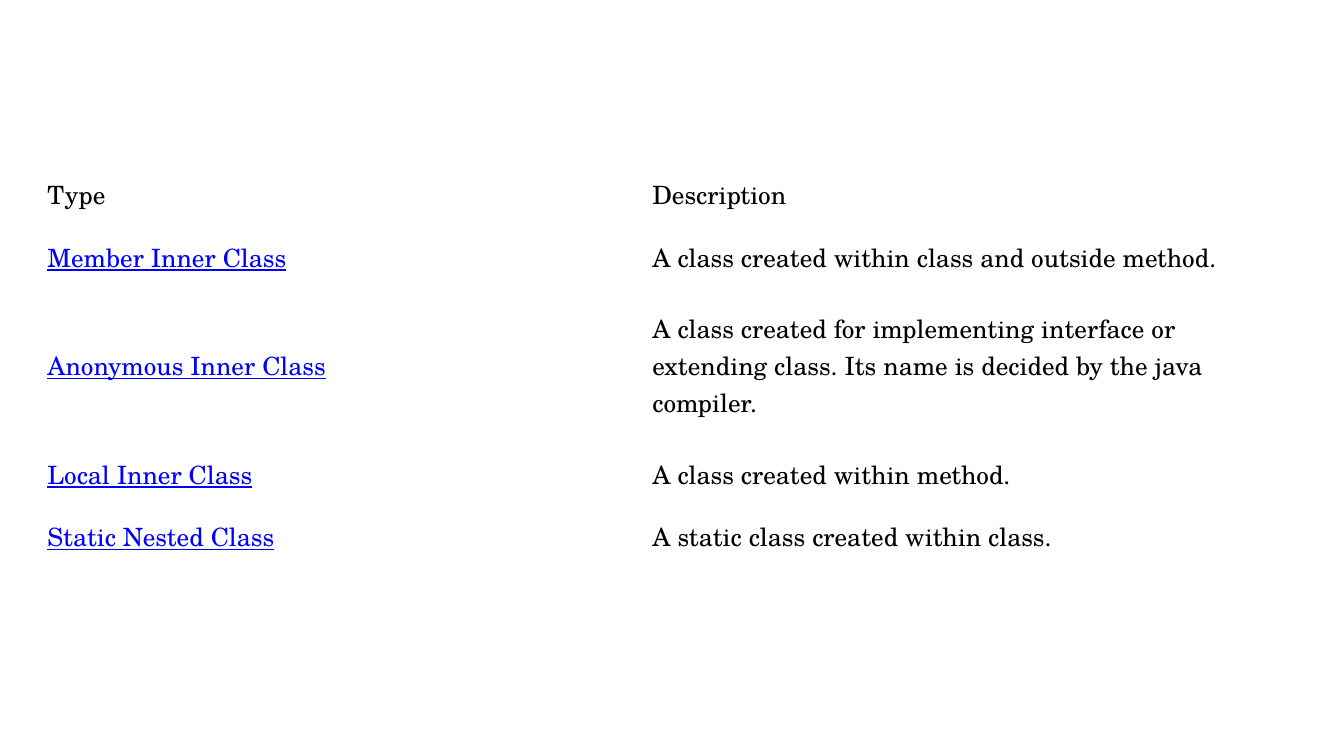
from dataclasses import dataclass

from pptx import Presentation
from pptx.dml.color import RGBColor
from pptx.enum.text import MSO_ANCHOR
from pptx.table import Table, _Cell
from pptx.util import Inches, Pt

BLACK = RGBColor(0x00, 0x00, 0x00)
LINK_BLUE = RGBColor(0x00, 0x00, 0xFF)
BODY_FORMAT = {"name": "TeX Gyre Schola", "size": Pt(18), "bold": False}
PLAIN_TABLE = {"first_row": False, "horz_banding": False}

ROW_HEIGHT = Inches(0.62)
COLUMN_WIDTH = Inches(6)


@dataclass(frozen=True)
class ClassKind:
    title: str
    description: str
    linked: bool = True
    row_share: float = 1


KINDS = [
    ClassKind("Type", "Description", linked=False),
    ClassKind("Member Inner Class", "A class created within class and outside method."),
    ClassKind(
        "Anonymous Inner Class",
        "A class created for implementing interface or extending class. "
        "Its name is decided by the java compiler.",
        row_share=2.48,
    ),
    ClassKind("Local Inner Class", "A class created within method."),
    ClassKind("Static Nested Class", "A static class created within class."),
]


def set_format(target: object, values: dict) -> None:
    for attribute, value in values.items():
        setattr(target, attribute, value)


def write_cell(cell: _Cell, wording: str, linked: bool) -> None:
    cell.fill.background()
    cell.vertical_anchor = MSO_ANCHOR.MIDDLE
    run = cell.text_frame.paragraphs[0].add_run()
    run.text = wording
    set_format(run.font, BODY_FORMAT | {"underline": linked})
    run.font.color.rgb = LINK_BLUE if linked else BLACK


def write_kind(table: Table, row: int, kind: ClassKind) -> None:
    table.rows[row].height = round(ROW_HEIGHT * kind.row_share)
    write_cell(table.cell(row, 0), kind.title, kind.linked)
    write_cell(table.cell(row, 1), kind.description, False)


presentation = Presentation()
set_format(presentation, {"slide_width": Inches(13.33), "slide_height": Inches(7.5)})
slide = presentation.slides.add_slide(presentation.slide_layouts[6])

total_height = round(ROW_HEIGHT * sum(kind.row_share for kind in KINDS))
inner_classes = slide.shapes.add_table(
    len(KINDS), 2, Inches(0.37), Inches(1.62), COLUMN_WIDTH * 2, total_height
).table
set_format(inner_classes, PLAIN_TABLE)
for row, kind in enumerate(KINDS):
    write_kind(inner_classes, row, kind)

presentation.save("out.pptx")
